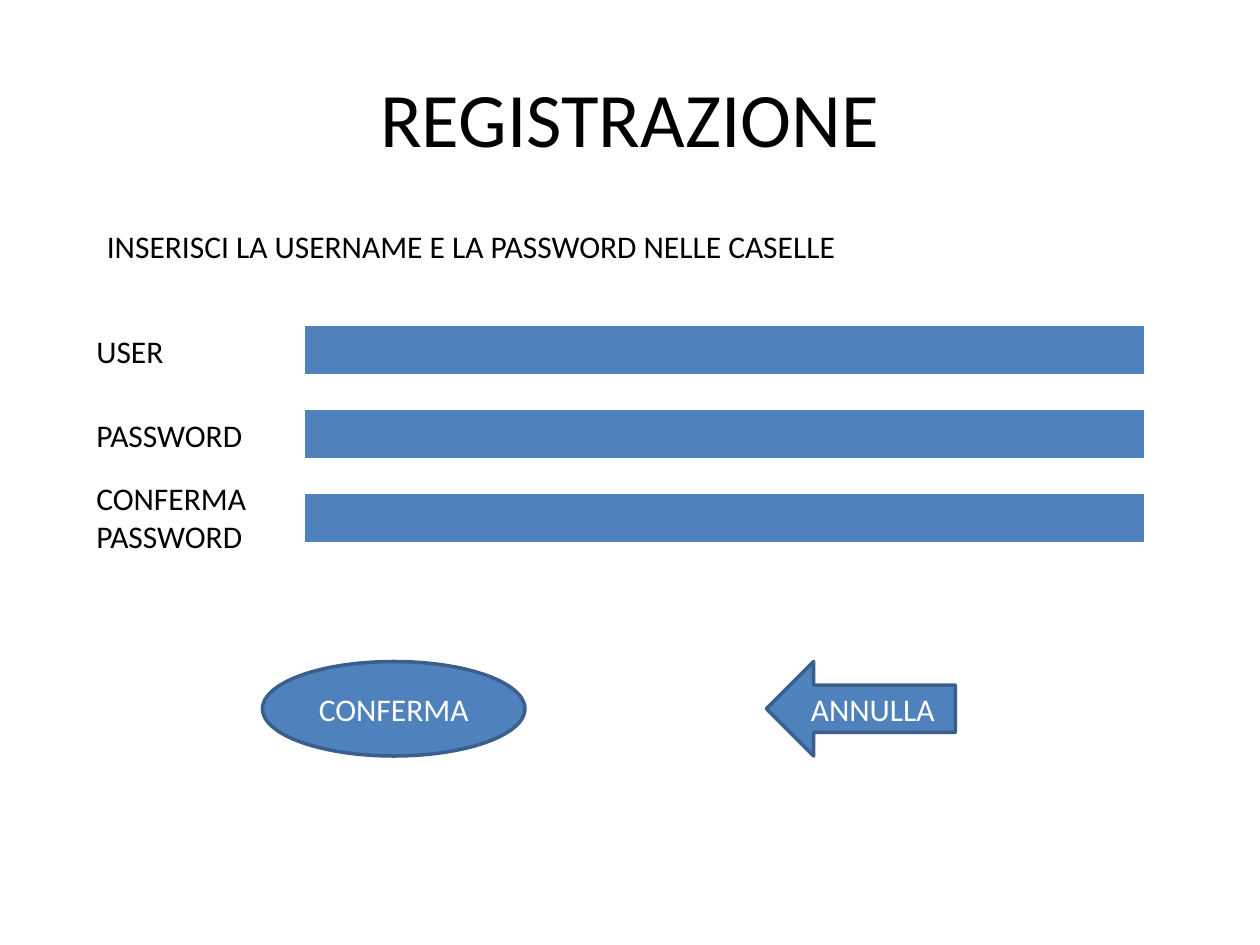
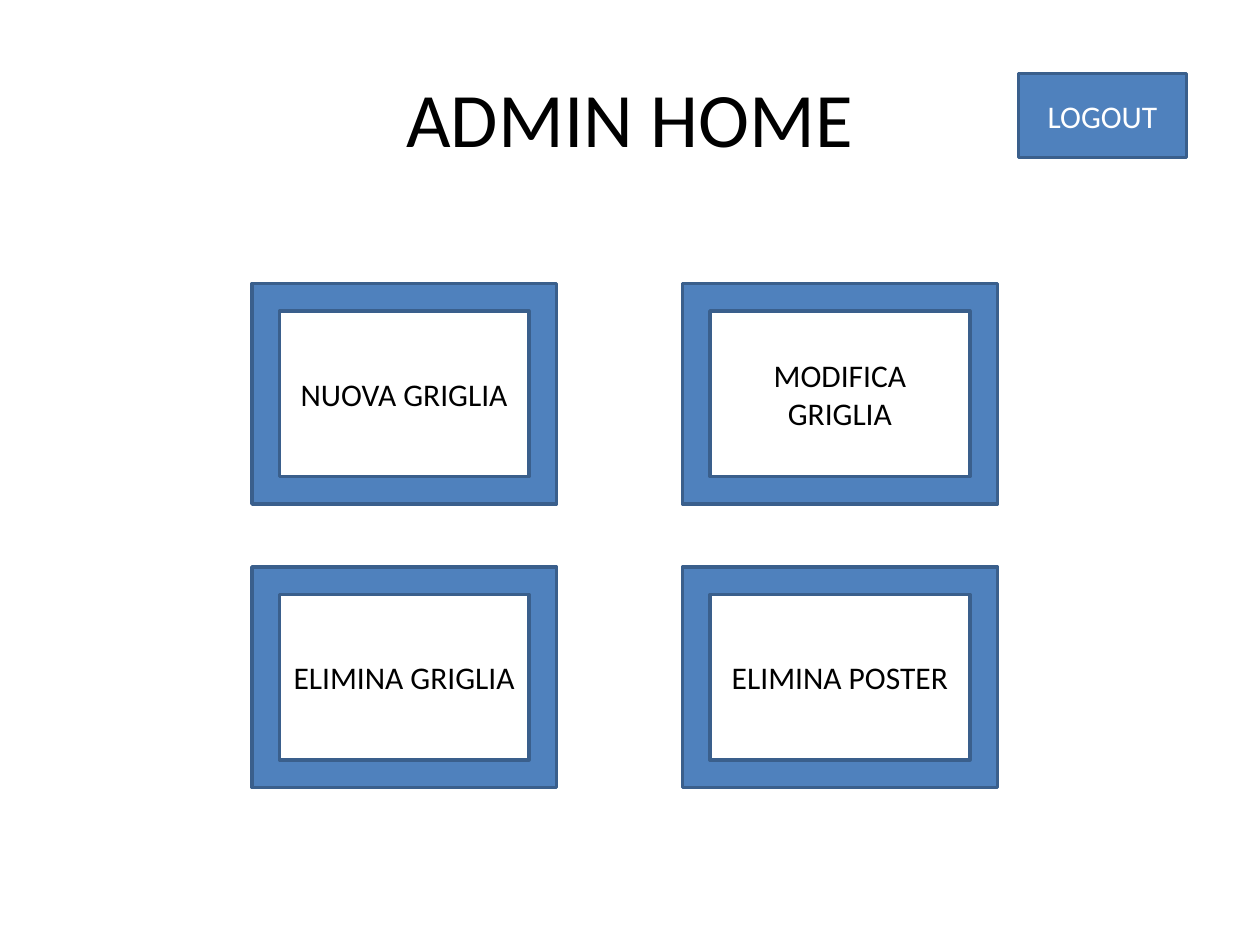
from dataclasses import dataclass

from lxml.etree import SubElement
from pptx import Presentation
from pptx.dml.color import RGBColor
from pptx.enum.shapes import MSO_SHAPE
from pptx.enum.text import MSO_ANCHOR, MSO_AUTO_SIZE, PP_ALIGN
from pptx.oxml.ns import qn
from pptx.util import Emu, Pt

EMU_PER_PX = 7620


@dataclass(frozen=True)
class Theme:
    font: str = "Calibri"
    title_size: int = 44
    body_size: int = 18
    outline_width: int = 2
    ink: str = "000000"
    paper: str = "FFFFFF"
    accent: str = "4F81BD"
    outline: str = "3A5F8C"


THEME = Theme()


def px(length):
    return Emu(length * EMU_PER_PX)


def box(left, top, width, height):
    return px(left), px(top), px(width), px(height)


def color(code):
    return RGBColor.from_string(code)


def write(text_frame, text, size, ink, alignment):
    paragraph = text_frame.paragraphs[0]
    paragraph.alignment = alignment
    run = paragraph.add_run()
    run.text = text
    run.font.name = THEME.font
    run.font.size = Pt(size)
    run.font.color.rgb = color(ink)


def add_title_slide(presentation, title):
    slide = presentation.slides.add_slide(presentation.slide_layouts[6])
    text_frame = slide.shapes.add_textbox(*box(60, 36, 1080, 150)).text_frame
    text_frame.word_wrap = True
    text_frame.vertical_anchor = MSO_ANCHOR.MIDDLE
    write(text_frame, title, THEME.title_size, THEME.ink, PP_ALIGN.CENTER)
    return slide


def add_label(slide, text, left, top, width, height, wrap=True):
    text_frame = slide.shapes.add_textbox(*box(left, top, width, height)).text_frame
    text_frame.word_wrap = wrap
    text_frame.auto_size = MSO_AUTO_SIZE.SHAPE_TO_FIT_TEXT
    write(text_frame, text, THEME.body_size, THEME.ink, PP_ALIGN.LEFT)


def add_button(slide, kind, text, left, top, width, height, ink=THEME.paper):
    shape = slide.shapes.add_shape(kind, *box(left, top, width, height))
    shape.shadow.inherit = False
    shape.fill.solid()
    shape.fill.fore_color.rgb = color(THEME.accent)
    shape.line.color.rgb = color(THEME.outline)
    shape.line.width = Pt(THEME.outline_width)
    shape.text_frame.word_wrap = True
    shape.text_frame.vertical_anchor = MSO_ANCHOR.MIDDLE
    write(shape.text_frame, text, THEME.body_size, ink, PP_ALIGN.CENTER)


def add_border(cell, side, width):
    properties = cell._tc.get_or_add_tcPr()
    line = SubElement(properties, qn(f"a:ln{side}"), w=str(Pt(width)))
    fill = SubElement(line, qn("a:solidFill"))
    SubElement(fill, qn("a:srgbClr"), val=THEME.paper)


def add_input_field(slide, left, top, width, height):
    table = slide.shapes.add_table(1, 1, *box(left, top, width, height)).table
    table.first_row = False
    table.horz_banding = False
    cell = table.cell(0, 0)
    for side, border_width in (("L", 1), ("R", 1), ("T", 1), ("B", 3)):
        add_border(cell, side, border_width)
    cell.fill.solid()
    cell.fill.fore_color.rgb = color(THEME.accent)


def build_registration(presentation):
    slide = add_title_slide(presentation, "REGISTRAZIONE")
    add_label(slide, "INSERISCI LA USERNAME E LA PASSWORD NELLE CASELLE",
              90, 210, 725, 48, wrap=False)
    fields = (("USER", 0, 48), ("PASSWORD", 0, 48), ("CONFERMA PASSWORD", -20, 85))
    for index, (label, label_shift, label_height) in enumerate(fields):
        top = 310 + 80 * index
        add_input_field(slide, 290, top, 800, 48)
        add_label(slide, label, 80, top + label_shift, 180, label_height)
    add_button(slide, MSO_SHAPE.OVAL, "CONFERMA", 250, 630, 250, 90)
    add_button(slide, MSO_SHAPE.LEFT_ARROW, "ANNULLA", 730, 630, 180, 90)


def build_admin_home(presentation):
    slide = add_title_slide(presentation, "ADMIN HOME")
    add_button(slide, MSO_SHAPE.RECTANGLE, "LOGOUT", 970, 70, 160, 80)
    columns = ((240, 290), (650, 300))
    actions = (("NUOVA GRIGLIA", "MODIFICA GRIGLIA"),
               ("ELIMINA GRIGLIA", "ELIMINA POSTER"))
    for row, labels in enumerate(actions):
        for (left, width), label in zip(columns, labels):
            add_button(slide, MSO_SHAPE.FRAME, label,
                       left, 270 + 270 * row, width, 210, THEME.ink)


def main():
    presentation = Presentation()
    presentation.slide_width = px(1200)
    presentation.slide_height = px(900)
    build_registration(presentation)
    build_admin_home(presentation)
    presentation.save("out.pptx")


if __name__ == "__main__":
    main()
